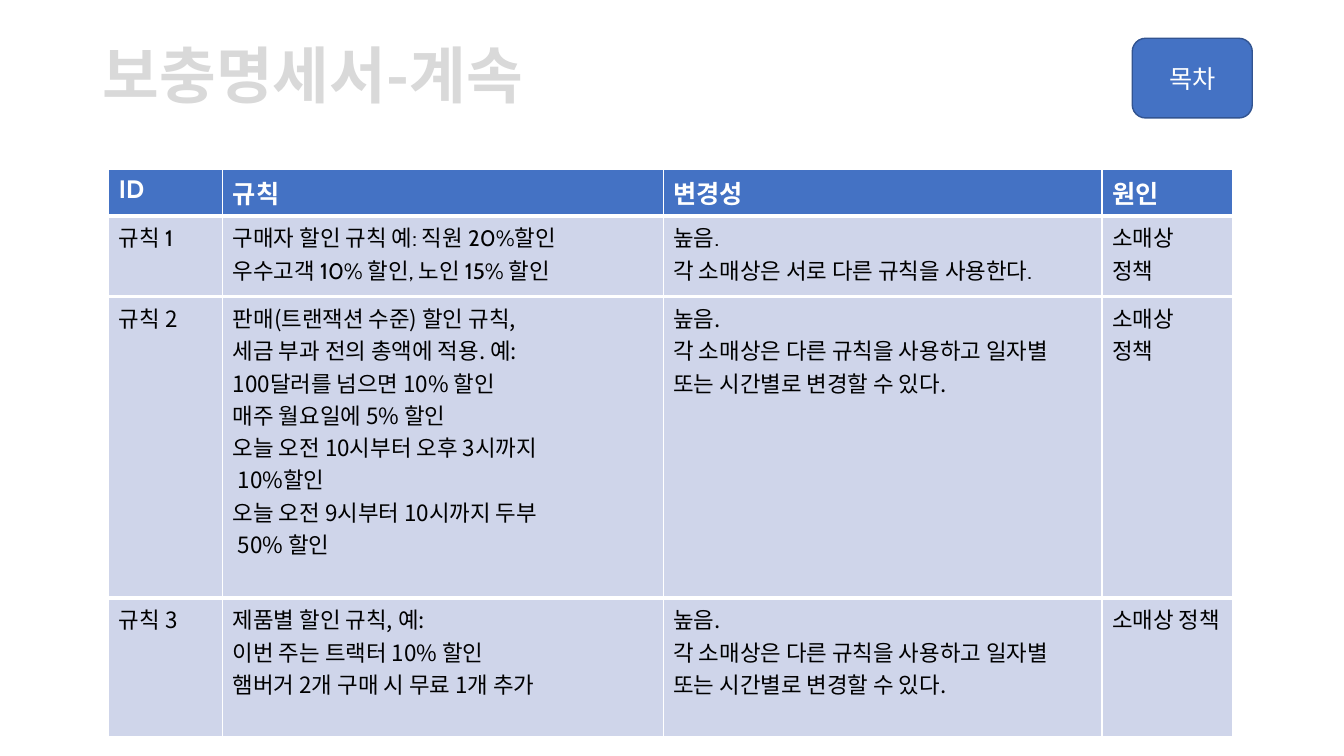
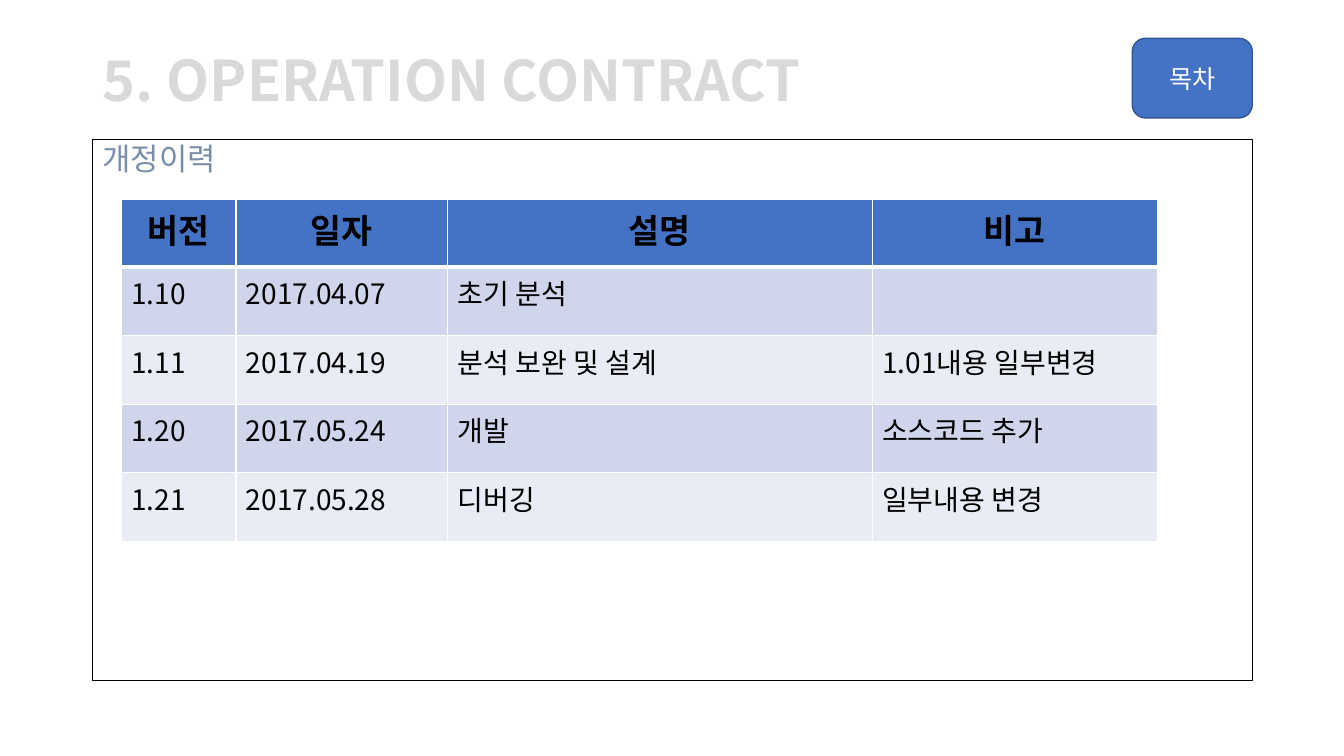
"""Build two slides of a project specification, each with a title and a table."""
import pptx
import pptx.util
import pptx.dml.color
import pptx.enum.shapes
import pptx.enum.text
import pptx.oxml
import pptx.oxml.ns

Inches = pptx.util.Inches
Pt = pptx.util.Pt
RGBColor = pptx.dml.color.RGBColor
ALIGN = pptx.enum.text.PP_ALIGN
ANCHOR = pptx.enum.text.MSO_ANCHOR
SHAPE = pptx.enum.shapes.MSO_SHAPE

WHITE = RGBColor(0xFF, 0xFF, 0xFF)
BLACK = RGBColor(0x00, 0x00, 0x00)
BLUE = RGBColor(0x44, 0x72, 0xC4)
DARK_BLUE = RGBColor(0x32, 0x54, 0x91)
BAND = RGBColor(0xCF, 0xD5, 0xEA)
LIGHT_BAND = RGBColor(0xE9, 0xEB, 0xF5)
TITLE_GRAY = RGBColor(0xD9, 0xD9, 0xD9)
SLATE = RGBColor(0x7A, 0x8E, 0xAA)
NOTO = "Noto Sans CJK KR"
CABIN = "Cabin"


def write(tf, text, size=16, color=BLACK, bold=False, font=NOTO,
          align=ALIGN.LEFT, anchor=ANCHOR.TOP, spacing=None):
    tf.word_wrap = True
    tf.vertical_anchor = anchor
    for i, line in enumerate(text.split("\n")):
        p = tf.paragraphs[0] if i == 0 else tf.add_paragraph()
        p.alignment = align
        p.line_spacing = spacing
        r = p.add_run()
        r.text = line
        r.font.name = font
        r.font.size = Pt(size)
        r.font.bold = bold
        r.font.color.rgb = color
        ea = r.font._element.makeelement(pptx.oxml.ns.qn("a:ea"), {"typeface": NOTO})
        r.font._element.append(ea)


def add_table(s, left, top, widths, heights, rows, fills, rule, formats):
    """Add a table with white borders; rule is the point width between body rows."""
    table = s.shapes.add_table(len(rows), len(widths), Inches(left), Inches(top),
                               Inches(sum(widths)), Inches(sum(heights))).table
    for column, width in zip(table.columns, widths):
        column.width = Inches(width)
    for i, row in enumerate(rows):
        table.rows[i].height = Inches(heights[i])
        above = 1 if i == 0 else 3 if i == 1 else rule
        below = 3 if i == 0 else 1 if i == len(rows) - 1 else rule
        for j, text in enumerate(row):
            cell = table.cell(i, j)
            tcPr = cell._tc.get_or_add_tcPr()
            for side, width in (("L", 1), ("R", 1), ("T", above), ("B", below)):
                tcPr.append(pptx.oxml.parse_xml(
                    f'<a:ln{side} {pptx.oxml.ns.nsdecls("a")} w="{Pt(width)}">'
                    f'<a:solidFill><a:srgbClr val="{WHITE}"/></a:solidFill></a:ln{side}>'))
            cell.fill.solid()
            cell.fill.fore_color.rgb = fills[i]
            if text:
                write(cell.text_frame, text, **formats[i])
    return table


prs = pptx.Presentation()
prs.slide_width = Inches(13.33)
prs.slide_height = Inches(7.5)
layout = prs.slide_layouts[5]
title = layout.placeholders[0]
title.left, title.top = Inches(0.92), Inches(0.38)
title.width, title.height = Inches(10.18), Inches(0.79)

slides = []
for text, size, anchor, spacing in (
        ("보충명세서-계속", 44, ANCHOR.MIDDLE, 0.9),
        ("5. OPERATION CONTRACT", 40, ANCHOR.BOTTOM, 0.85)):
    s = prs.slides.add_slide(layout)
    tf = s.shapes.title.text_frame
    tf.auto_size = pptx.enum.text.MSO_AUTO_SIZE.NONE
    write(tf, text, size=size, color=TITLE_GRAY, bold=True, anchor=anchor, spacing=spacing)
    slides.append(s)
rules_slide, contract_slide = slides

button = rules_slide.shapes.add_shape(SHAPE.ROUNDED_RECTANGLE, Inches(11.23), Inches(0.38),
                                      Inches(1.19), Inches(0.79))
button.shadow.inherit = False
button.fill.solid()
button.fill.fore_color.rgb = BLUE
button.line.color.rgb = DARK_BLUE
button.line.width = Pt(1)
write(button.text_frame, "목차", size=18, color=WHITE, align=ALIGN.CENTER, anchor=ANCHOR.MIDDLE)
layout.shapes.element.append(button.element)

rules = [
    ("ID", "규칙", "변경성", "원인"),
    ("규칙 1",
     "구매자 할인 규칙 예: 직원 20%할인\n우수고객 10% 할인, 노인 15% 할인",
     "높음.\n각 소매상은 서로 다른 규칙을 사용한다.",
     "소매상\n정책"),
    ("규칙 2",
     "판매(트랜잭션 수준) 할인 규칙,\n세금 부과 전의 총액에 적용. 예:\n"
     "100달러를 넘으면 10% 할인\n매주 월요일에 5% 할인\n"
     "오늘 오전 10시부터 오후 3시까지\n10%할인\n"
     "오늘 오전 9시부터 10시까지 두부\n50% 할인",
     "높음.\n각 소매상은 다른 규칙을 사용하고 일자별 또는 시간별로 변경할 수 있다.",
     "소매상\n정책"),
    ("규칙 3",
     "제품별 할인 규칙, 예:\n이번 주는 트랙터 10% 할인\n햄버거 2개 구매 시 무료 1개 추가",
     "높음.\n각 소매상은 다른 규칙을 사용하고 일자별 또는 시간별로 변경할 수 있다.",
     "소매상 정책"),
]
table = add_table(rules_slide, 1.08, 1.68, [1.13, 4.37, 4.35, 1.3], [0.46, 0.8, 2.99, 1.38],
                  rules, [BLUE] + [BAND] * 3, 3,
                  [dict(size=18, color=WHITE, bold=True, font=CABIN), dict(font=CABIN), {}, {}])
for p in table.cell(2, 1).text_frame.paragraphs[5::2]:
    p._p.get_or_add_pPr().set("marL", str(Inches(0.05)))

frame = contract_slide.shapes.add_shape(SHAPE.RECTANGLE, Inches(0.92), Inches(1.38),
                                        Inches(11.5), Inches(5.37))
frame.shadow.inherit = False
frame.fill.solid()
frame.fill.fore_color.rgb = WHITE
frame.line.color.rgb = BLACK
frame.line.width = Pt(0.5)
write(frame.text_frame, "개정이력", size=22, color=SLATE, spacing=0.9)

revisions = [
    ("버전", "일자", "설명", "비고"),
    ("1.10", "2017.04.07", "초기 분석", ""),
    ("1.11", "2017.04.19", "분석 보완 및 설계", "1.01내용 일부변경"),
    ("1.20", "2017.05.24", "개발", "소스코드 추가"),
    ("1.21", "2017.05.28", "디버깅", "일부내용 변경"),
]
add_table(contract_slide, 1.2, 1.98, [1.14, 2.1, 4.21, 2.83], [0.67] + [0.68] * 4,
          revisions, [BLUE] + [BAND, LIGHT_BAND] * 2, 1,
          [dict(size=24, bold=True, align=ALIGN.CENTER)] + [dict(size=20, align=ALIGN.JUSTIFY)] * 4)

prs.save("out.pptx")
